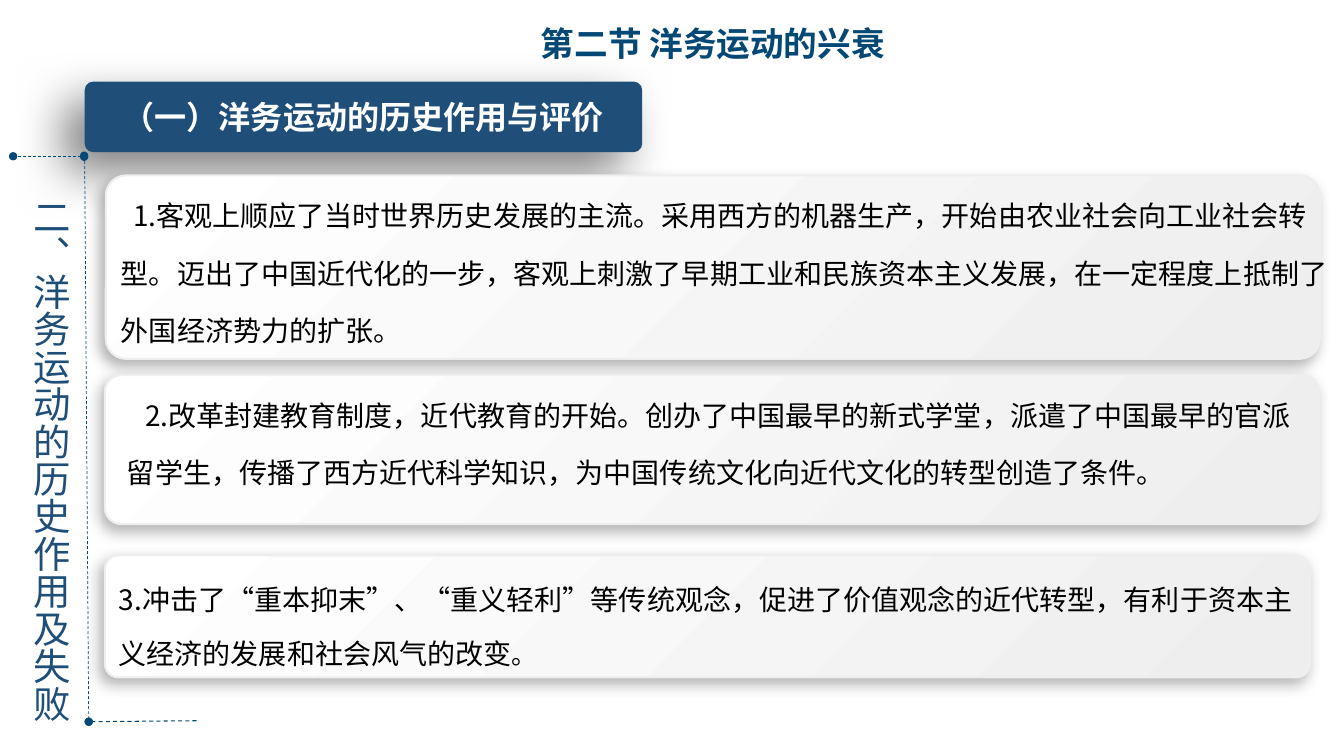
from lxml.etree import SubElement
from pptx import Presentation
from pptx.dml.color import RGBColor
from pptx.enum.dml import MSO_LINE_DASH_STYLE as Dash
from pptx.enum.shapes import MSO_CONNECTOR as Connector, MSO_SHAPE as Shape
from pptx.enum.text import MSO_ANCHOR as Anchor, MSO_AUTO_SIZE as AutoSize, PP_ALIGN as Align
from pptx.oxml.ns import qn
from pptx.util import Inches, Pt

FONT = "Noto Sans CJK SC"
COLORS = {"accent": "044875", "navy": "1F4E79", "white": "FFFFFF", "card": "EEEEEE", "text": "000000"}

TITLE = "第二节 洋务运动的兴衰"
HEADER = "（一）洋务运动的历史作用与评价"
SIDE_LABEL = "二、洋务运动的历史作用及失败"
CARDS = [
    {"card": (1.05, 1.74, 12.04, 1.82), "box": (1.2, 1.74, 12, 1.72), "indent": 0.12, "spacing": 1.7,
     "runs": [("1.客观上顺应了当时世界历史发展的主流。采用西方的机器生产，开始由农业社会向工业社会转型。"
               "迈出了中国近代化的一步，客观上刺激了早期工业和民族资本主义发展，"
               "在一定程度上抵制了外国经济势力的扩张。", 20)]},
    {"card": (1.04, 3.72, 12.04, 1.48), "box": (1.26, 3.72, 11.7, 1.05), "indent": 0.18, "spacing": 1.7,
     "runs": [("2.改革封建教育制度，近代教育的开始。创办了中国最早的新式学堂，派遣了中国最早的官派留学生，"
               "传播了西方近代科学知识，为中国传统文化向近代文化的转型创造了条件。", 20)]},
    {"card": (1.04, 5.51, 11.95, 1.21), "box": None, "indent": 0, "spacing": 1.6,
     "runs": [("3.冲击了“重本抑末”、“重义轻利”等传统观念，促进了价值观念的近代转型，"
               "有利于资本主义经济的发展和社会风气的改变", 20), ("。", 18)]},
]
DASHED_LINES = [
    ((1.95, 7.15), (0.88, 7.16), 0.75),
    ((0.8, 1.55), (0.13, 1.55), 0.5),
    ((0.84, 1.55), (0.88, 7.16), 0.5),
]


def rgb(name):
    return RGBColor.from_string(COLORS[name])


def inches(values):
    return [Inches(value) for value in values]


def style(paragraph, size, color, bold=False, align=Align.LEFT):
    paragraph.alignment = align
    font = paragraph.font
    font.name, font.size, font.bold = FONT, Pt(size), bold
    font.color.rgb = rgb(color)
    properties = paragraph._p.pPr.find(qn("a:defRPr"))
    SubElement(properties, qn("a:ea")).set("typeface", FONT)


def add_shape(slide, kind, place, adjustment=None):
    shape = slide.shapes.add_shape(kind, *inches(place))
    shape.shadow.inherit = False
    if adjustment is not None:
        shape.adjustments[0] = adjustment
    return shape


def add_shadow(shape, opacity, blur, distance):
    effects = shape._element.spPr.find(qn("a:effectLst"))
    shadow = SubElement(effects, qn("a:outerShdw"), blurRad=str(Pt(blur)), dist=str(Pt(distance)),
                        dir=str(135 * 60000), algn="tr", rotWithShape="0")
    color = SubElement(shadow, qn("a:srgbClr"), val=COLORS["text"])
    SubElement(color, qn("a:alpha"), val=str(opacity * 1000))


def add_title(slide):
    title = slide.shapes.title
    title.left, title.top, title.width, title.height = inches((4.11, 0.18, 5.92, 0.5))
    frame = title.text_frame
    frame.text = TITLE
    frame.vertical_anchor = Anchor.TOP
    frame.auto_size = AutoSize.SHAPE_TO_FIT_TEXT
    style(frame.paragraphs[0], 24, "accent", True, Align.CENTER)


def add_header(slide):
    header = add_shape(slide, Shape.ROUNDED_RECTANGLE, (0.84, 0.81, 5.53, 0.7), 0.12)
    header.fill.solid()
    header.fill.fore_color.rgb = rgb("navy")
    header.line.fill.background()
    add_shadow(header, 50, 35, 20)
    frame = header.text_frame
    frame.text = HEADER
    frame.vertical_anchor = Anchor.MIDDLE
    style(frame.paragraphs[0], 22.9, "white", True, Align.CENTER)


def add_side_label(slide):
    frame = slide.shapes.add_textbox(*inches((0.13, 1.87, 0.65, 5.63))).text_frame
    frame.word_wrap = True
    frame.text = SIDE_LABEL
    frame._txBody.bodyPr.set("vert", "eaVert")
    style(frame.paragraphs[0], 26.7, "navy")


def add_dashed_line(slide, start, end, width):
    connector = slide.shapes.add_connector(Connector.STRAIGHT, *inches(start + end))
    connector.line.color.rgb = rgb("accent")
    connector.line.width = Pt(width)
    connector.line.dash_style = Dash.DASH
    properties = connector._element.spPr
    SubElement(properties.find(qn("a:ln")), qn("a:tailEnd"), type="oval")
    SubElement(properties, qn("a:effectLst"))


def add_corner_dot(slide):
    dot = add_shape(slide, Shape.OVAL, (0.8, 1.51, 0.07, 0.08))
    dot.fill.solid()
    dot.fill.fore_color.rgb = rgb("accent")
    dot.line.color.rgb = rgb("accent")
    dot.line.width = Pt(1)


def add_card(slide, item):
    card = add_shape(slide, Shape.ROUNDED_RECTANGLE, item["card"], 0.11)
    card.fill.gradient()
    card.fill.gradient_angle = 135
    for stop, color, position in zip(card.fill.gradient_stops, ("card", "white"), (0, 1)):
        stop.color.rgb = rgb(color)
        stop.position = position
    card.line.color.rgb = rgb("card")
    card.line.width = Pt(1.5)
    add_shadow(card, 30, 10, 5)

    frame = card.text_frame
    frame.vertical_anchor = Anchor.MIDDLE
    if item["box"]:
        frame = slide.shapes.add_textbox(*inches(item["box"])).text_frame
        frame.margin_left = frame.margin_top = frame.margin_right = frame.margin_bottom = 0
    frame.word_wrap = True
    paragraph = frame.paragraphs[0]
    paragraph.line_spacing = item["spacing"]
    base_size = item["runs"][0][1]
    for text, size in item["runs"]:
        run = paragraph.add_run()
        run.text = text
        if size != base_size:
            run.font.size = Pt(size)
    style(paragraph, base_size, "text")
    paragraph._p.pPr.set("indent", str(Inches(item["indent"])))


def main():
    presentation = Presentation()
    presentation.slide_width, presentation.slide_height = Inches(13.33), Inches(7.5)
    slide = presentation.slides.add_slide(presentation.slide_layouts[5])
    add_title(slide)
    add_header(slide)
    add_side_label(slide)
    for start, end, width in DASHED_LINES:
        add_dashed_line(slide, start, end, width)
    add_corner_dot(slide)
    for item in CARDS:
        add_card(slide, item)
    presentation.save("out.pptx")


if __name__ == "__main__":
    main()
